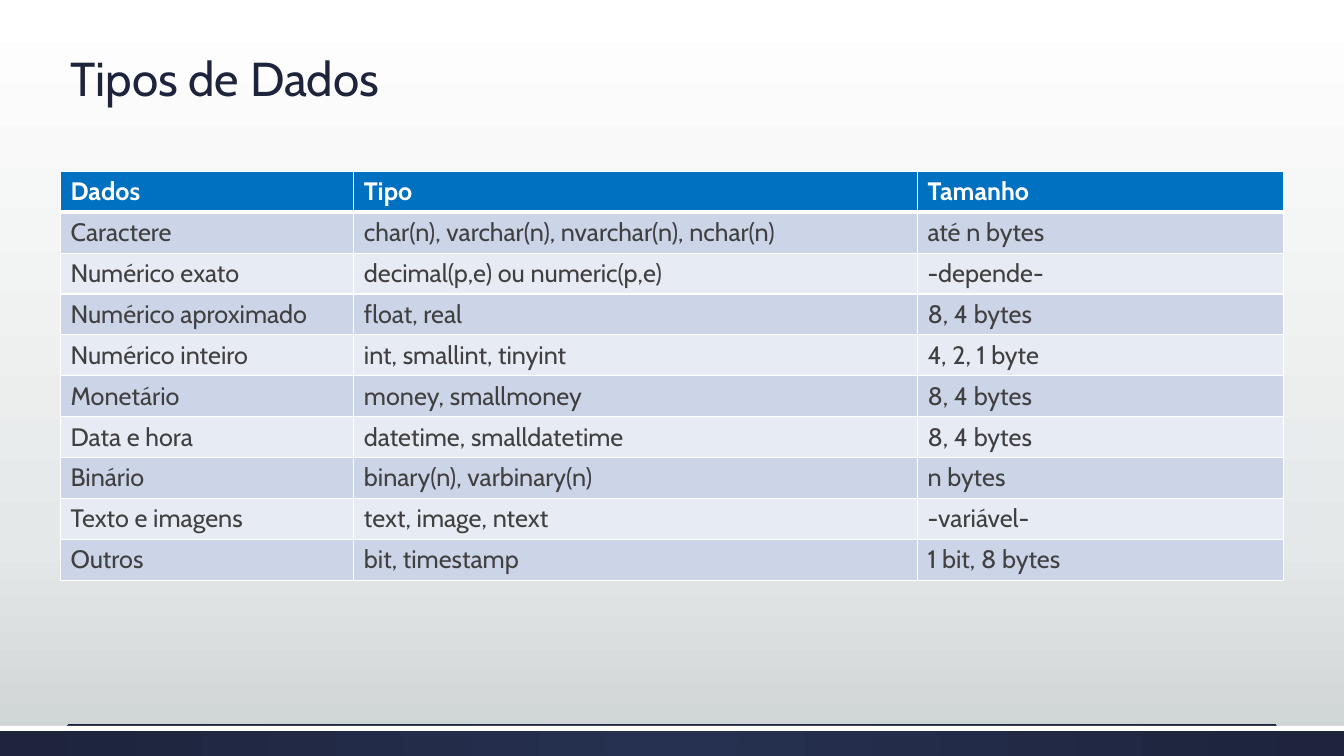
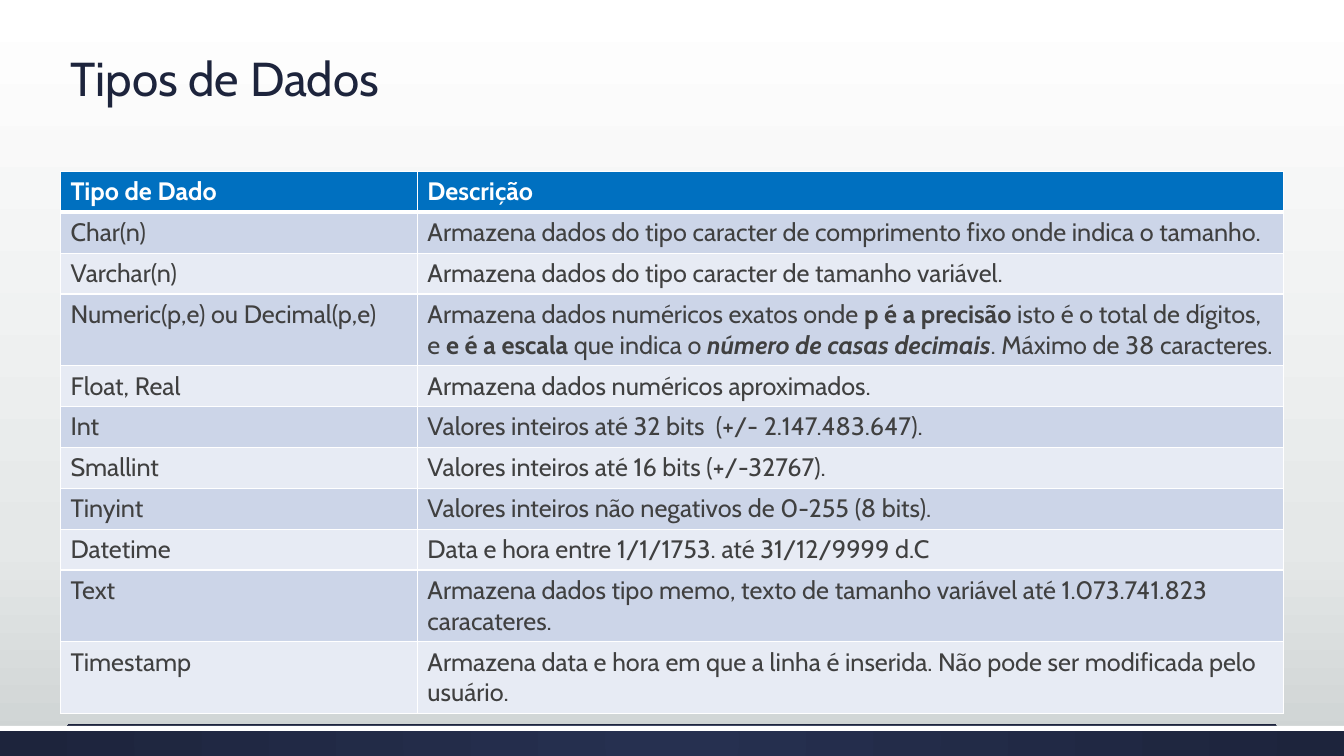
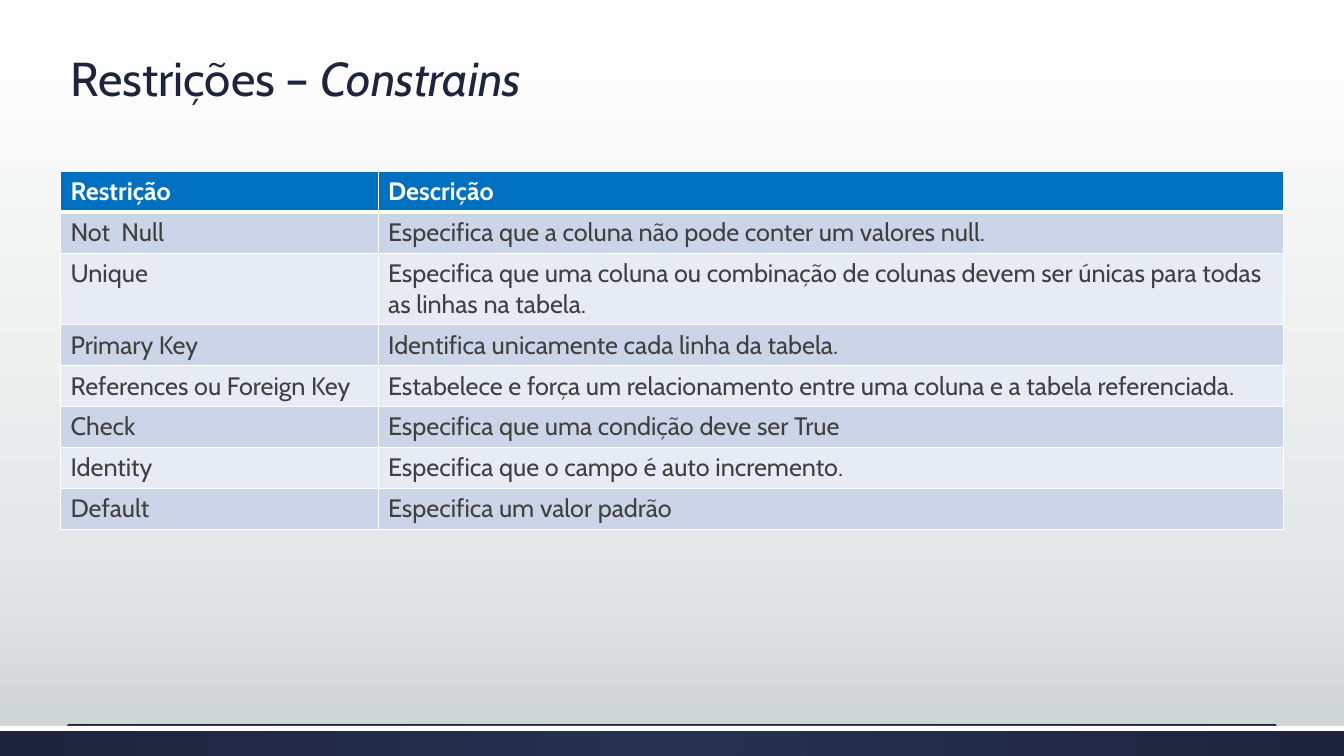
from lxml import etree
from pptx import Presentation
from pptx.dml.color import RGBColor
from pptx.enum.shapes import MSO_CONNECTOR, MSO_SHAPE
from pptx.enum.text import MSO_ANCHOR, PP_ALIGN
from pptx.oxml import parse_xml
from pptx.oxml.ns import nsdecls, qn
from pptx.util import Inches, Pt

LEFT, MIDDLE = PP_ALIGN.LEFT, MSO_ANCHOR.MIDDLE
RECTANGLE, STRAIGHT = MSO_SHAPE.RECTANGLE, MSO_CONNECTOR.STRAIGHT
TITLE_ONLY = 5

FONT = "Cabin"
COLORS = {
    "navy": "1D243C",
    "navy_light": "263050",
    "white": "FFFFFF",
    "mist": "E5E8E8",
    "silver": "CDD2D2",
    "header": "0070C0",
    "row_dark": "CCD5E8",
    "row_light": "E7EBF4",
    "text": "404040",
}
SLIDE_W, SLIDE_H = Inches(13.33), Inches(7.5)
MARGIN = Inches(0.6)
CONTENT_W = SLIDE_W - 2 * MARGIN
TABLE_TOP = Inches(1.7)
ROW_H = Pt(29.2)
BAND_TOP = Inches(7.2)

# Text is a string, or a list of (text, style) with b for bold and i for italic.
# "widths" leaves out the last column, which takes the remaining space.
SLIDES = [
    {
        "title": "Tipos de Dados",
        "widths": [2.91, 5.59],
        "rows": [
            ("Dados", "Tipo", "Tamanho"),
            ("Caractere", "char(n), varchar(n), nvarchar(n), nchar(n)", "até n bytes"),
            ("Numérico exato", "decimal(p,e) ou numeric(p,e)", "-depende-"),
            ("Numérico aproximado", "float, real", "8, 4 bytes"),
            ("Numérico inteiro", "int, smallint, tinyint", "4, 2, 1 byte"),
            ("Monetário", "money, smallmoney", "8, 4 bytes"),
            ("Data e hora", "datetime, smalldatetime", "8, 4 bytes"),
            ("Binário", "binary(n), varbinary(n)", "n bytes"),
            ("Texto e imagens", "text, image, ntext", "-variável-"),
            ("Outros", "bit, timestamp", "1 bit, 8 bytes"),
        ],
    },
    {
        "title": "Tipos de Dados",
        "widths": [3.54],
        "rows": [
            ("Tipo de Dado", "Descrição"),
            ("Char(n)", "Armazena dados do tipo caracter de comprimento fixo onde indica o tamanho."),
            ("Varchar(n)", "Armazena dados do tipo caracter de tamanho variável."),
            ("Numeric(p,e) ou Decimal(p,e)", [
                ("Armazena dados numéricos exatos onde ", ""),
                ("p é a precisão ", "b"),
                ("isto é o total de dígitos, e ", ""),
                ("e é a escala ", "b"),
                ("que indica o ", ""),
                ("número de casas decimais", "bi"),
                (". Máximo de 38 caracteres.", ""),
            ]),
            ("Float, Real", "Armazena dados numéricos aproximados."),
            ("Int", "Valores inteiros até 32 bits  (+/- 2.147.483.647)."),
            ("Smallint", "Valores inteiros até 16 bits (+/-32767)."),
            ("Tinyint", "Valores inteiros não negativos de 0-255 (8 bits)."),
            ("Datetime", "Data e hora entre 1/1/1753. até 31/12/9999 d.C"),
            ("Text", "Armazena dados tipo memo, texto de tamanho variável até 1.073.741.823 caracateres."),
            ("Timestamp", "Armazena data e hora em que a linha é inserida. Não pode ser modificada pelo usuário."),
        ],
    },
    {
        "title": [("Restrições – ", ""), ("Constrains", "i")],
        "widths": [3.15],
        "rows": [
            ("Restrição", "Descrição"),
            ("Not  Null", "Especifica que a coluna não pode conter um valores null."),
            ("Unique", "Especifica que uma coluna ou combinação de colunas devem ser únicas para todas as linhas na tabela."),
            ("Primary Key", "Identifica unicamente cada linha da tabela."),
            ("References ou Foreign Key", "Estabelece e força um relacionamento entre uma coluna e a tabela referenciada."),
            ("Check", "Especifica que uma condição deve ser True"),
            ("Identity", "Especifica que o campo é auto incremento."),
            ("Default", "Especifica um valor padrão"),
        ],
    },
]


def rgb(name):
    return RGBColor.from_string(COLORS[name])


def write(paragraph, text, size, color, bold=False):
    paragraph.font.name = FONT
    paragraph.font.size = Pt(size)
    paragraph.font.color.rgb = rgb(color)
    paragraph.font.bold = bold
    for part, style in [(text, "")] if isinstance(text, str) else text:
        run = paragraph.add_run()
        run.text = part
        if "b" in style:
            run.font.bold = True
        if "i" in style:
            run.font.italic = True


def set_gradient(owner, fill, stops, direction):
    """Fill with (percent, color) stops; direction is the a:lin or a:path XML."""
    fill.gradient()
    old = next(owner.iter(qn("a:gradFill")))
    stop_xml = "".join(
        f'<a:gs pos="{percent * 1000}"><a:srgbClr val="{COLORS[color]}"/></a:gs>'
        for percent, color in stops)
    old.getparent().replace(old, parse_xml(
        f'<a:gradFill {nsdecls("a")} rotWithShape="1">'
        f"<a:gsLst>{stop_xml}</a:gsLst>{direction}</a:gradFill>"))


def add_band(slide, height):
    band = slide.shapes.add_shape(RECTANGLE, 0, BAND_TOP, SLIDE_W, height)
    band.shadow.inherit = False
    band.line.fill.background()
    return band


def style_layout(layout, slide):
    """Give the layout its background, title place and footer, drawn by way of a slide."""
    for placeholder in list(layout.placeholders):
        if placeholder.placeholder_format.idx:
            layout.shapes._spTree.remove(placeholder._element)
    title = layout.placeholders[0]
    title.left, title.top = MARGIN, Inches(0.13)
    title.width, title.height = CONTENT_W, Inches(1.35)
    title.text_frame.vertical_anchor = MIDDLE

    set_gradient(layout._element, layout.background.fill,
                 [(0, "white"), (72, "mist"), (100, "silver")],
                 '<a:lin ang="5400000" scaled="0"/>')

    rule = slide.shapes.add_connector(
        STRAIGHT, Inches(0.67), Inches(7.19), SLIDE_W - Inches(0.67), Inches(7.19))
    rule.line.color.rgb = rgb("navy")
    rule.line.width = Pt(0.75)
    etree.SubElement(rule._element.spPr, qn("a:effectLst"))

    footer = add_band(slide, SLIDE_H - BAND_TOP)
    set_gradient(footer._element, footer.fill,
                 [(0, "navy_light"), (100, "navy")],
                 '<a:path path="circle"><a:fillToRect l="50000" t="50000" '
                 'r="50000" b="50000"/></a:path>')
    edge = add_band(slide, Inches(0.05))
    edge.fill.solid()
    edge.fill.fore_color.rgb = rgb("white")

    for part in (rule, footer, edge):
        layout.shapes._spTree.append(part._element)


def set_borders(cell, top, bottom):
    properties = cell._tc.get_or_add_tcPr()
    for side, points in (("L", 1), ("R", 1), ("T", top), ("B", bottom)):
        properties.append(parse_xml(
            f'<a:ln{side} {nsdecls("a")} w="{Pt(points)}"><a:solidFill>'
            f'<a:srgbClr val="{COLORS["white"]}"/></a:solidFill></a:ln{side}>'))


def add_data_table(slide, rows, widths):
    table = slide.shapes.add_table(len(rows), len(rows[0]), MARGIN, TABLE_TOP,
                                   CONTENT_W, ROW_H * len(rows)).table
    widths = [Inches(width) for width in widths]
    for column, width in zip(table.columns, widths + [CONTENT_W - sum(widths)]):
        column.width = width
    for r, texts in enumerate(rows):
        header = r == 0
        table.rows[r].height = ROW_H
        fill = "header" if header else ("row_light", "row_dark")[r % 2]
        for cell, text in zip(table.rows[r].cells, texts):
            set_borders(cell, 3 if r == 1 else 1, 3 if header else 1)
            cell.fill.solid()
            cell.fill.fore_color.rgb = rgb(fill)
            write(cell.text_frame.paragraphs[0], text, 18,
                  "white" if header else "text", header)


def main():
    prs = Presentation()
    prs.slide_width, prs.slide_height = SLIDE_W, SLIDE_H
    layout = prs.slide_layouts[TITLE_ONLY]
    for number, content in enumerate(SLIDES):
        slide = prs.slides.add_slide(layout)
        if number == 0:
            style_layout(layout, slide)
        heading = slide.shapes.title.text_frame.paragraphs[0]
        heading.alignment = LEFT
        heading.line_spacing = 0.9
        write(heading, content["title"], 34, "navy")
        add_data_table(slide, content["rows"], content["widths"])
    prs.save("out.pptx")


if __name__ == "__main__":
    main()
